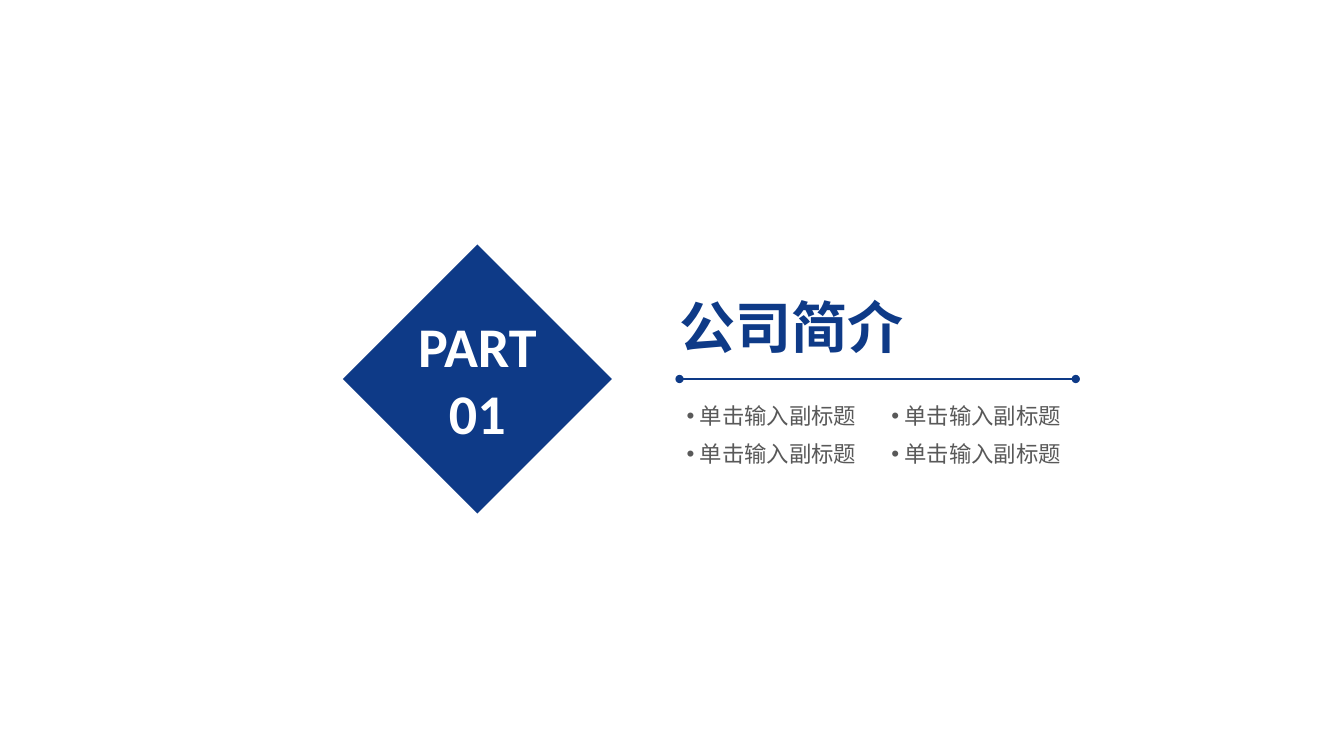
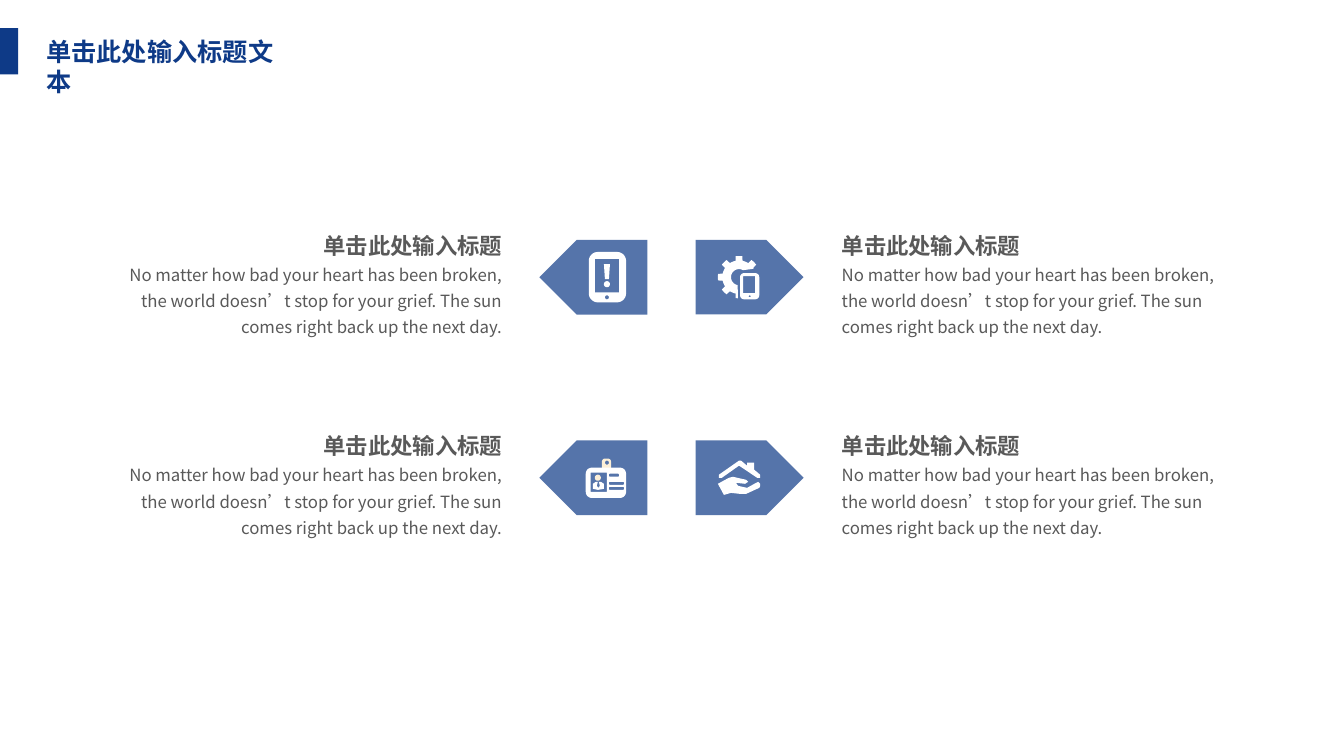
from math import cos, pi, sin

from lxml.etree import SubElement as Sub
from pptx import Presentation
from pptx.dml.color import RGBColor as RGB
from pptx.enum.shapes import MSO_CONNECTOR as LINE, MSO_SHAPE as SHAPE
from pptx.enum.text import MSO_ANCHOR as ANCHOR, MSO_AUTO_SIZE as FIT, PP_ALIGN as ALIGN
from pptx.oxml.ns import qn
from pptx.util import Inches, Pt

HUE = {"navy": "0E3A87", "gray": "595959", "white": "FFFFFF", "cream": "FCEFD7"}
SANS = "Noto Sans CJK SC"
FORM = {
    "part": {"size": Pt(40), "name": "Calibri", "bold": True, "hue": "white"},
    "cover": {"size": Pt(40), "name": SANS, "bold": True, "hue": "navy"},
    "title": {"size": Pt(18), "name": SANS, "bold": True, "hue": "navy"},
    "item": {"size": Pt(16), "name": "Arial", "bold": False, "hue": "gray"},
    "head": {"size": Pt(16), "name": SANS, "bold": True, "hue": "gray"},
    "body": {"size": Pt(12), "name": SANS, "bold": False, "hue": "gray"},
}
WIDE, HIGH = 13.33, 7.5

PART = ["PART", "01"]
COVER = "公司简介"
ITEMS = [["单击输入副标题"] * 2] * 2
TITLE = "单击此处输入标题文本"
HEAD = "单击此处输入标题"
BODY = ("No matter how bad your heart has been broken, the world doesn’t stop "
        "for your grief. The sun comes right back up the next day.")


# Outlines, in hundredths of an inch from the corner of a plate
def arc(x, y, r, start=0, end=360, step=10):
    turns = range(start, end, step)
    return [(x + r * cos(t * pi / 180), y + r * sin(t * pi / 180)) for t in turns]


def box(x, y, w, h):
    return [(x, y), (x + w, y), (x + w, y + h), (x, y + h)]


def soft(x, y, w, h, r):
    """Rectangle with rounded corners."""
    mids = box(x + r, y + r, w - 2 * r, h - 2 * r)
    return [p for mid, turn in zip(mids, (180, 270, 360, 450))
            for p in arc(*mid, r, turn, turn + 91)]


def gear(x, y, r, hole):
    """Gear with eight teeth, open at the lower right."""
    rim = []
    for t in range(93, 333, 3):
        size = r if cos(8 * t * pi / 180) > 0 else r * .79
        rim += arc(x, y, size, t, t + 1)
    return rim + arc(x, y, hole, 100, 310)[::-1]


ALERT = [
    ("white", [soft(49, 12, 37, 50, 9), box(55, 19, 24, 33), arc(67, 57, 2)]),
    ("white", [[(64, 24), (70, 24), (69, 39), (65, 39)], arc(67, 44, 3)]),
]
SETUP = [
    ("white", [gear(43, 37, 21, 8)]),
    ("white", [soft(44, 33, 19, 26, 4), box(47, 36, 12, 17), arc(53.5, 56, 1)]),
]
BADGE = [
    ("cream", [soft(62, 18, 9, 13, 3), arc(67, 22, 2)]),
    ("white", [soft(46, 27, 40, 30, 6), box(51, 32, 16, 19)]
     + [soft(69, y, w, 3, 1) for y, w in ((33, 10), (41, 15), (46, 15))]),
    ("white", [[(53, 48), (53, 43), (56, 41), (61, 41), (64, 43), (64, 48), (58, 49)],
               [(58, 41), (59, 41), (60, 45), (58.5, 47), (57, 45)]]),
    ("cream", [arc(58, 37, 3)]),
]
HOME = [
    ("white", [[(60, 42), (51, 47), (42, 45), (40, 42), (49, 43), (52, 41), (50, 39),
                (37, 36), (33, 37), (22, 43), (28, 54), (35, 52), (44, 53), (50, 53),
                (63, 47), (64, 45), (64, 43), (62, 41)]]),
    ("white", [[(23, 34), (43, 20), (45, 20), (51, 25), (51, 22), (58, 22), (58, 29),
                (64, 34), (64, 37), (61, 37), (43, 25), (26, 37), (23, 37)]]),
]
CARDS = [[ALERT, SETUP], [BADGE, HOME]]


def place(shape, *at):
    for key, val in zip(("left", "top", "width", "height"), at):
        setattr(shape, key, Inches(val))
    return shape


def paint(shape, hue):
    shape.shadow.inherit = False
    shape.fill.solid()
    shape.fill.fore_color.rgb = RGB.from_string(HUE[hue])
    shape.line.fill.background()
    return shape


def write(shape, rows, pad=(.1, .05), anchor=ANCHOR.TOP, **look):
    """Fill a shape with rows of (form, text); look goes to every paragraph."""
    frame = shape.text_frame
    x, y = map(Inches, pad)
    opts = {"margin_left": x, "margin_right": x, "margin_top": y, "margin_bottom": y,
            "word_wrap": True, "auto_size": FIT.NONE, "vertical_anchor": anchor}
    for key, val in opts.items():
        setattr(frame, key, val)
    for i, (form, text) in enumerate(rows):
        para = frame.paragraphs[0] if i == 0 else frame.add_paragraph()
        for key, val in look.items():
            setattr(para, key, val)
        if i == 0:
            para.space_before = Pt(0)
        run = para.add_run()
        run.text = text
        for key, val in FORM[form].items():
            if key == "hue":
                run.font.color.rgb = RGB.from_string(HUE[val])
            else:
                setattr(run.font, key, val)
        Sub(run.font._element, qn("a:ea"), typeface=SANS)
    return frame


def name(slide, form, text, at, pad):
    """Set the slide's title."""
    write(place(slide.shapes.title, *at), [(form, text)], pad, alignment=ALIGN.LEFT)


def rule(slide, x, y, w):
    """Line with a dot at each end."""
    line = slide.shapes.add_connector(LINE.STRAIGHT, *map(Inches, (x, y, x + w, y)))
    line.line.color.rgb = RGB.from_string(HUE["navy"])
    line.line.width = Pt(1)
    for end in ("a:headEnd", "a:tailEnd"):
        Sub(line.line._get_or_add_ln(), qn(end), type="oval")
    Sub(line._element.spPr, qn("a:effectLst"))


def trace(shapes, x, y, hue, loops):
    """Draw closed loops as one outline; inner loops are holes."""
    loops = [[(Inches(x + a / 100), Inches(y + b / 100)) for a, b in loop] for loop in loops]
    pen = shapes.build_freeform(*loops[0][0])
    for i, loop in enumerate(loops):
        if i:
            pen.move_to(*loop[0])
        pen.add_line_segments(loop[1:], close=True)
    paint(pen.convert_to_shape(), hue)


def badge(slide, x, y, icon, left):
    """Arrow plate with its icon."""
    shapes = slide.shapes.add_group_shape().shapes
    plate = paint(shapes.add_shape(SHAPE.PENTAGON, *map(Inches, (x, y, 1.07, .74))), "navy")
    plate.rotation = 180 if left else 0
    color = plate._element.spPr.find(".//" + qn("a:srgbClr"))
    Sub(color, qn("a:alpha"), val="70000")
    for hue, loops in icon:
        trace(shapes, x, y, hue, loops)


def opening(deck):
    slide = deck.slides.add_slide(deck.slide_layouts[3])
    x, mid, wide, size = 6.74, 3.76, 3.93, 2.67
    at = map(Inches, (3.4, mid - size / 2, size, size))
    gem = paint(slide.shapes.add_shape(SHAPE.DIAMOND, *at), "navy")
    write(gem, [("part", row) for row in PART], (0, 0), ANCHOR.MIDDLE, alignment=ALIGN.CENTER)
    name(slide, "cover", COVER, (x, 2.9, 2.77, .67), (0, 0))
    rule(slide, x, mid, wide)
    for i, col in enumerate(ITEMS):
        spot = place(slide.placeholders[i + 1], x + i * 2.03, 3.95, 1.9, .77)
        frame = write(spot, [("item", row) for row in col], (.07, .04), space_before=Pt(8))
        for para in frame.paragraphs:
            props = para._p.get_or_add_pPr()
            props.set("marL", str(Inches(.13)))
            props.set("indent", str(-Inches(.13)))


def points(deck):
    slide = deck.slides.add_slide(deck.slide_layouts[5])
    name(slide, "title", TITLE, (.38, .32, 2.65, .38), (.08, .04))
    paint(slide.shapes.add_shape(SHAPE.RECTANGLE, *map(Inches, (0, .28, .18, .46))), "navy")
    edge, wide = 1.15, 3.93
    for r, row in enumerate(CARDS):
        top = 2.17 + r * 1.99
        for c, icon in enumerate(row):
            badge(slide, 5.35 + c * 1.55, top + .21, icon, c == 0)
            x = WIDE - edge - wide if c else edge
            note = slide.shapes.add_textbox(*map(Inches, (x, top, wide, 1.24)))
            write(note, [("head", HEAD), ("body", BODY)], line_spacing=1.3,
                  alignment=ALIGN.LEFT if c else ALIGN.RIGHT)


def main():
    deck = Presentation()
    deck.slide_width, deck.slide_height = Inches(WIDE), Inches(HIGH)
    opening(deck)
    points(deck)
    deck.save("out.pptx")


if __name__ == "__main__":
    main()
